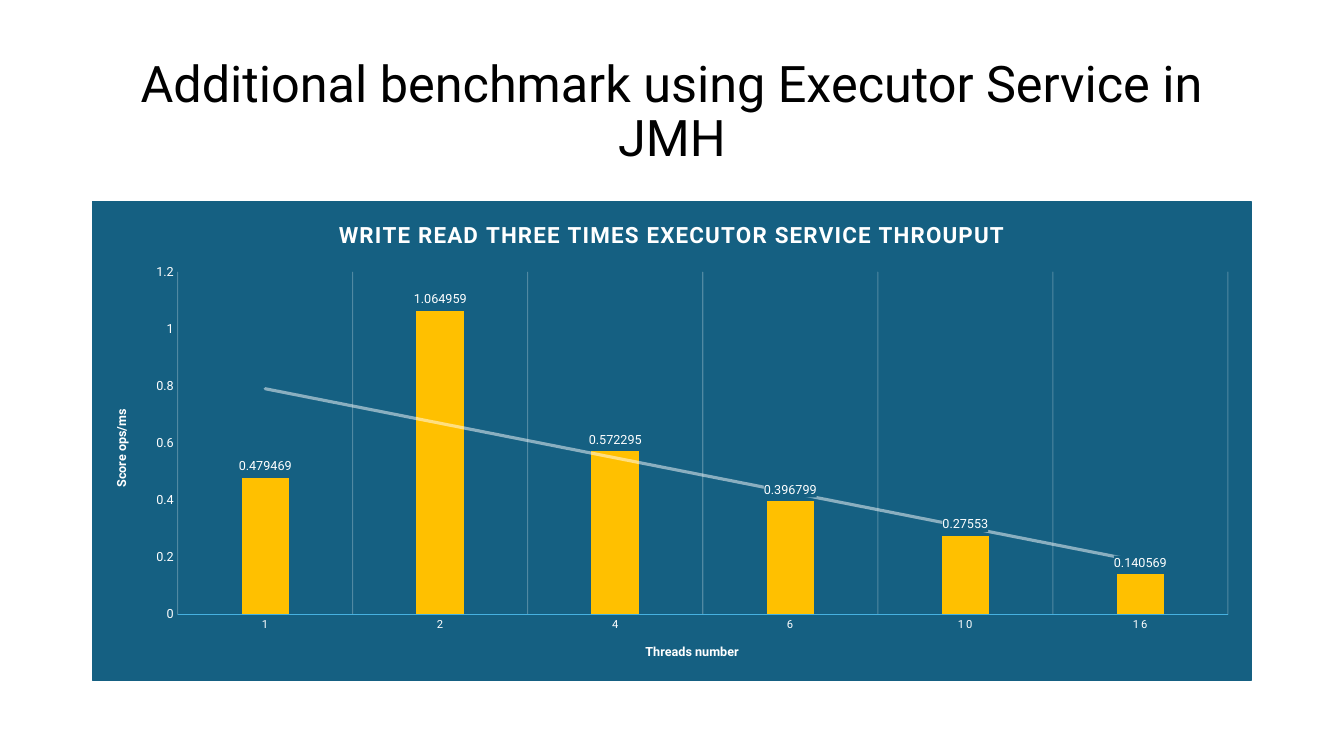
from pptx import Presentation
from pptx.chart.data import CategoryChartData
from pptx.dml.color import RGBColor
from pptx.enum.chart import XL_CHART_TYPE, XL_LABEL_POSITION, XL_TICK_MARK
from pptx.enum.text import MSO_ANCHOR, PP_ALIGN
from pptx.oxml import parse_xml
from pptx.oxml.ns import nsdecls
from pptx.util import Cm, Pt

COLORS = {
    "text": "000000",
    "light": "FFFFFF",
    "panel": "156082",
    "bar": "FFC000",
    "axis": "46B1E1",
}
FONT = "Roboto"
SCORES = {
    "1": 0.479469,
    "2": 1.064959,
    "4": 0.572295,
    "6": 0.396799,
    "10": 0.27553,
    "16": 0.140569,
}


def rgb(name):
    return RGBColor.from_string(COLORS[name])


def format_font(font, size, color, bold=False):
    font.name = FONT
    font.size = Pt(size)
    font.bold = bold
    font.color.rgb = rgb(color)


def write_text(frame, text, size, color="light", bold=False, spacing=0, line_spacing=None):
    paragraph = frame.paragraphs[0]
    paragraph.alignment = PP_ALIGN.CENTER
    if line_spacing:
        paragraph.line_spacing = line_spacing
    run = paragraph.add_run()
    run.text = text
    format_font(run.font, size, color, bold)
    if spacing:
        run._r.get_or_add_rPr().set("spc", str(spacing))


def solid_fill(color, opacity=100):
    return (
        f'<a:solidFill><a:srgbClr val="{COLORS[color]}">'
        f'<a:alpha val="{opacity * 1000}"/></a:srgbClr></a:solidFill>'
    )


def shape_properties(fill="", line=""):
    return parse_xml(f'<c:spPr {nsdecls("c", "a")}>{fill}{line}</c:spPr>')


def line_xml(color, width, opacity=100):
    return f'<a:ln w="{Pt(width)}" cap="rnd">{solid_fill(color, opacity)}</a:ln>'


def add_heading(slide, left, top, width, height):
    heading = slide.shapes.add_textbox(left, top, width, height).text_frame
    heading.word_wrap = True
    heading.vertical_anchor = MSO_ANCHOR.MIDDLE
    write_text(heading, "Additional benchmark using Executor Service in JMH",
               size=36, color="text", line_spacing=0.9)


def format_axis(axis, title, size):
    write_text(axis.axis_title.text_frame, title, size=9, bold=True)
    axis.major_tick_mark = XL_TICK_MARK.NONE
    axis.minor_tick_mark = XL_TICK_MARK.NONE
    format_font(axis.tick_labels.font, size, "light")


def format_axes(chart):
    threads = chart.category_axis
    format_axis(threads, "Threads number", 8)
    threads.format.line.color.rgb = rgb("axis")
    threads.format.line.width = Pt(0.25)
    threads.has_major_gridlines = True
    gridlines = chart.element.xpath(".//c:catAx/c:majorGridlines")[0]
    gridlines.append(shape_properties(line=line_xml("light", 0.75, 25)))
    chart.element.xpath(".//c:catAx/c:txPr//a:defRPr")[0].set("spc", "120")

    score = chart.value_axis
    format_axis(score, "Score ops/ms", 9)
    score.has_major_gridlines = False
    score.format.line.fill.background()
    score.minimum_scale = 0
    score.maximum_scale = 1.2
    score.major_unit = 0.2


def format_bars(chart):
    plot = chart.plots[0]
    plot.gap_width = 269
    plot.overlap = -20
    plot.vary_by_categories = False
    bars = plot.series[0]
    bars.format.fill.solid()
    bars.format.fill.fore_color.rgb = rgb("bar")

    labels = bars.data_labels
    labels.show_value = True
    labels.position = XL_LABEL_POSITION.OUTSIDE_END
    format_font(labels.font, 9, "light")
    label_xml = chart.element.xpath(".//c:ser/c:dLbls")[0]
    label_xml.xpath("c:txPr")[0].addprevious(shape_properties(fill=solid_fill("panel")))

    trend = parse_xml(f'<c:trendline {nsdecls("c")}/>')
    trend.append(shape_properties(line=line_xml("light", 2.25, 50)))
    for tag, value in (("trendlineType", "linear"), ("dispRSqr", 0), ("dispEq", 0)):
        trend.append(parse_xml(f'<c:{tag} {nsdecls("c")} val="{value}"/>'))
    label_xml.addnext(trend)


def add_throughput_chart(slide, left, top, width, height):
    data = CategoryChartData()
    data.categories = list(SCORES)
    data.add_series("Series 1", list(SCORES.values()))
    chart = slide.shapes.add_chart(
        XL_CHART_TYPE.COLUMN_CLUSTERED, left, top, width, height, data
    ).chart
    chart.has_legend = False
    format_font(chart.font, 10, "text")
    write_text(chart.chart_title.text_frame,
               "WRITE READ THREE TIMES EXECUTOR SERVICE THROUPUT",
               size=16, bold=True, spacing=100)
    chart.chart_title.include_in_layout = False
    panel = shape_properties(solid_fill("panel"), line_xml("panel", 0.75))
    chart.element.xpath("c:chart")[0].addnext(panel)
    format_axes(chart)
    format_bars(chart)


def main():
    presentation = Presentation()
    presentation.slide_width = Cm(33.87)
    presentation.slide_height = Cm(19.05)
    slide = presentation.slides.add_slide(presentation.slide_layouts[6])
    margin = Cm(2.33)
    content_width = presentation.slide_width - 2 * margin
    add_heading(slide, margin, Cm(1.01), content_width, Cm(3.68))
    add_throughput_chart(slide, margin, Cm(5.07), content_width, Cm(12.09))
    presentation.save("out.pptx")


if __name__ == "__main__":
    main()
